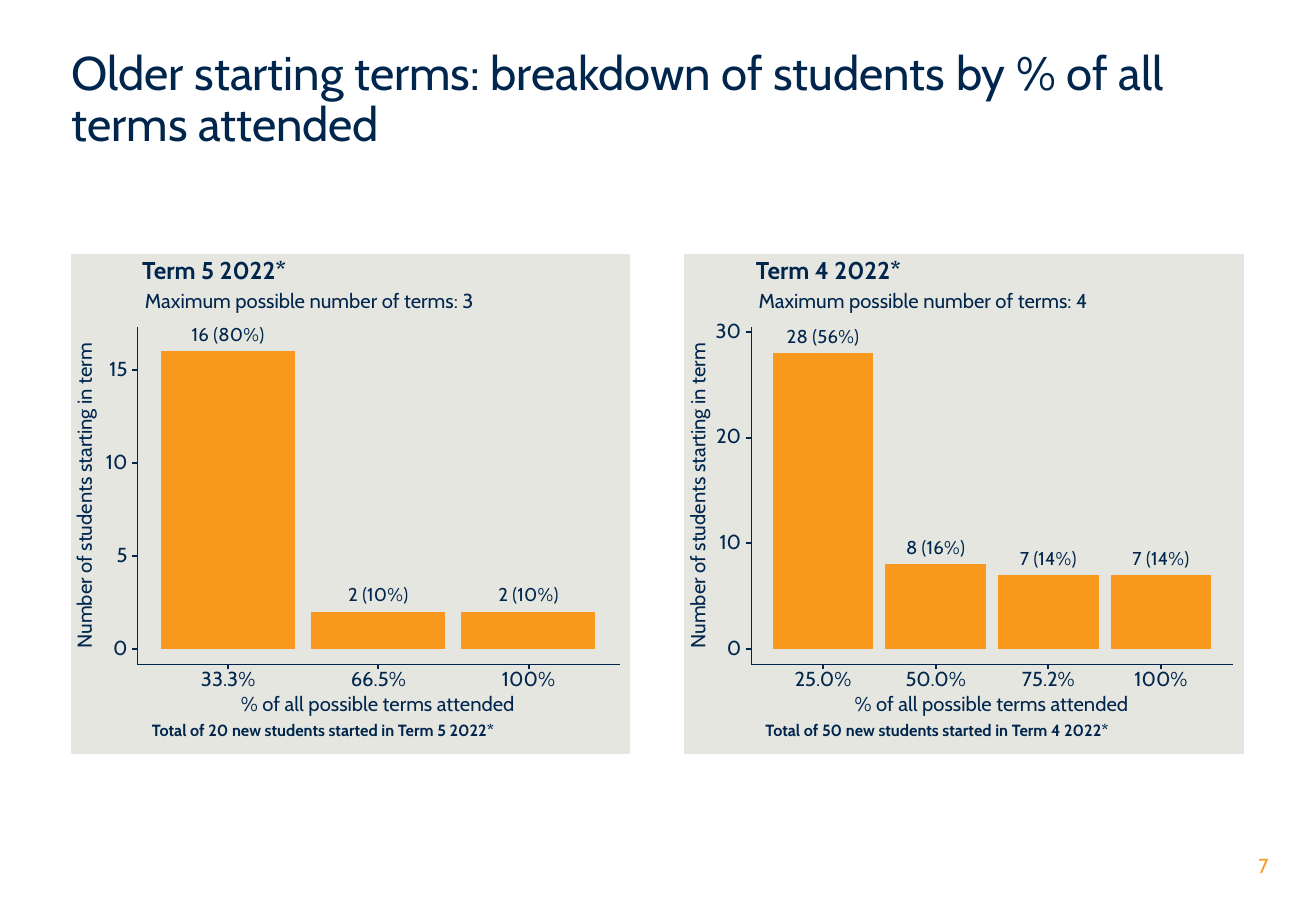
from dataclasses import dataclass

from lxml import etree
from pptx import Presentation
from pptx.chart.chart import Chart
from pptx.chart.data import CategoryChartData
from pptx.dml.color import RGBColor
from pptx.enum.chart import XL_CHART_TYPE, XL_LABEL_POSITION
from pptx.enum.shapes import MSO_CONNECTOR, MSO_SHAPE
from pptx.enum.text import MSO_ANCHOR, MSO_AUTO_SIZE, PP_ALIGN
from pptx.oxml import parse_xml
from pptx.oxml.ns import nsdecls, qn
from pptx.slide import Slide
from pptx.text.text import Font
from pptx.util import Pt

COLORS = {"navy": "00264D", "orange": "F8981D", "panel": "E6E6E1"}
FONT = "Cabin"

# Panel geometry in points, offsets measured from the panel's top left corner
PANEL_TOP, PANEL_W, PANEL_H = 151.2, 330.5, 295.2
AXIS_X, AXIS_TOP, AXIS_Y, AXIS_END = 38.9, 42.5, 242.6, 324.7
PLOT_X, PLOT_W, BASELINE = 48.2, 267, 233.6
PLOT_H = BASELINE - AXIS_TOP
TICK = 2.9


@dataclass
class Panel:
    left: float
    term: str
    max_terms: int
    total: int
    bars: list[tuple[str, int, str]]
    y_step: int
    y_max: float


PANELS = [
    Panel(42.5, "Term 5 2022*", 3, 20,
          [("33.3%", 16, "80%"), ("66.5%", 2, "10%"), ("100%", 2, "10%")], 5, 17.33),
    Panel(406.1, "Term 4 2022*", 4, 50,
          [("25.0%", 28, "56%"), ("50.0%", 8, "16%"), ("75.2%", 7, "14%"),
           ("100%", 7, "14%")], 10, 30.5),
]


def rgb(name: str) -> RGBColor:
    return RGBColor.from_string(COLORS[name])


def style_font(font: Font, size: float, color: str = "navy", bold: bool = False) -> None:
    font.name, font.size, font.bold = FONT, Pt(size), bold
    font.color.rgb = rgb(color)


def add_label(slide: Slide, x: float, y: float, text: str, size: float = 12,
              align: PP_ALIGN = PP_ALIGN.LEFT, width: float = 260, bold: bool = False,
              color: str = "navy", rotation: float = 0) -> None:
    """Put one line of text at x (left, centre or right, by align), centred on y."""
    shift = {PP_ALIGN.LEFT: 0, PP_ALIGN.CENTER: 0.5, PP_ALIGN.RIGHT: 1}[align]
    box = slide.shapes.add_textbox(Pt(x - shift * width), Pt(y - size / 2), Pt(width), Pt(size))
    box.rotation = rotation
    tf = box.text_frame
    tf.word_wrap = True
    tf.vertical_anchor = MSO_ANCHOR.MIDDLE
    tf.margin_left = tf.margin_right = tf.margin_top = tf.margin_bottom = 0
    p = tf.paragraphs[0]
    p.text = text
    p.alignment = align
    p.line_spacing = Pt(size)
    style_font(p.runs[0].font, size, color, bold)


def add_line(slide: Slide, x1: float, y1: float, x2: float, y2: float, weight: float) -> None:
    line = slide.shapes.add_connector(MSO_CONNECTOR.STRAIGHT, Pt(x1), Pt(y1), Pt(x2), Pt(y2))
    line.line.color.rgb = rgb("navy")
    line.line.width = Pt(weight)
    etree.SubElement(line._element.spPr, qn("a:effectLst"))


def place_plot(chart: Chart) -> None:
    """Fix the plot area inside the panel and make the chart see-through."""
    area = chart.element.find(".//" + qn("c:plotArea"))
    for old in area.findall(qn("c:layout")):
        area.remove(old)
    fractions = {"x": PLOT_X / PANEL_W, "y": AXIS_TOP / PANEL_H,
                 "w": PLOT_W / PANEL_W, "h": PLOT_H / PANEL_H}
    values = "".join(f'<c:{k} val="{v:.4f}"/>' for k, v in fractions.items())
    area.insert(0, parse_xml(
        f'<c:layout {nsdecls("c")}><c:manualLayout><c:layoutTarget val="inner"/>'
        f'<c:xMode val="edge"/><c:yMode val="edge"/>{values}</c:manualLayout></c:layout>'))
    clear = (f'<c:spPr {nsdecls("c", "a")}><a:noFill/>'
             '<a:ln><a:noFill/></a:ln></c:spPr>')
    area.append(parse_xml(clear))
    chart.element.find(qn("c:chart")).addnext(parse_xml(clear))


def add_bars(slide: Slide, panel: Panel) -> None:
    data = CategoryChartData()
    data.categories = [share for share, _, _ in panel.bars]
    data.add_series("Number of students starting in term", [n for _, n, _ in panel.bars])
    chart = slide.shapes.add_chart(XL_CHART_TYPE.COLUMN_CLUSTERED, Pt(panel.left),
                                   Pt(PANEL_TOP), Pt(PANEL_W), Pt(PANEL_H), data).chart
    style_font(chart.font, 11)
    chart.has_legend = chart.has_title = False
    axis = chart.value_axis
    axis.minimum_scale, axis.maximum_scale = 0, panel.y_max
    axis.major_unit = panel.y_step
    axis.has_major_gridlines = False
    axis.visible = chart.category_axis.visible = False

    plot = chart.plots[0]
    plot.gap_width = 12
    plot.vary_by_categories = False
    series = plot.series[0]
    series.format.fill.solid()
    series.format.fill.fore_color.rgb = rgb("orange")
    for i, (_, count, percent) in enumerate(panel.bars):
        label = series.points[i].data_label
        p = label.text_frame.paragraphs[0]
        p.text = f"{count} ({percent})"
        style_font(p.runs[0].font, 11)
        label.position = XL_LABEL_POSITION.OUTSIDE_END
    place_plot(chart)


def add_axes(slide: Slide, panel: Panel) -> None:
    """Draw the axes, which stand a little apart from the bars."""
    x, y = panel.left + AXIS_X, PANEL_TOP + AXIS_Y
    add_line(slide, x, y, x, PANEL_TOP + AXIS_TOP, 0.57)
    add_line(slide, x, y, panel.left + AXIS_END, y, 0.57)
    for value in range(0, int(panel.y_max) + 1, panel.y_step):
        tick_y = PANEL_TOP + BASELINE - value / panel.y_max * PLOT_H
        add_line(slide, x - TICK, tick_y, x, tick_y, 1.16)
        add_label(slide, x - 5.8, tick_y, str(value), align=PP_ALIGN.RIGHT, width=22)
    pitch = PLOT_W / len(panel.bars)
    for i, (share, _, _) in enumerate(panel.bars):
        tick_x = panel.left + PLOT_X + (i + 0.5) * pitch
        add_line(slide, tick_x, y + TICK, tick_x, y, 1.16)
        add_label(slide, tick_x, PANEL_TOP + 252, share, align=PP_ALIGN.CENTER, width=50)


def add_panel(slide: Slide, panel: Panel) -> None:
    x, y = panel.left, PANEL_TOP
    sp = slide.shapes.add_shape(MSO_SHAPE.RECTANGLE, Pt(x), Pt(y), Pt(PANEL_W), Pt(PANEL_H))
    sp.shadow.inherit = False
    sp.fill.solid()
    sp.fill.fore_color.rgb = sp.line.color.rgb = rgb("panel")
    sp.line.width = Pt(1.16)
    add_bars(slide, panel)
    add_axes(slide, panel)
    add_label(slide, x + 41.8, y + 10.1, panel.term, 14.4, bold=True)
    add_label(slide, x + 43.4, y + 28.1, f"Maximum possible number of terms: {panel.max_terms}")
    add_label(slide, x + 181.4, y + 267.1, "% of all possible terms attended",
              align=PP_ALIGN.CENTER)
    add_label(slide, x + 8.3, y + 142.6, "Number of students starting in term",
              align=PP_ALIGN.CENTER, rotation=270)
    add_label(slide, x + 47.5, y + 282.2,
              f"Total of {panel.total} new students started in {panel.term}", 9.6, bold=True)


def add_title(slide: Slide, text: str) -> None:
    title = slide.shapes.title
    title.left, title.top, title.width, title.height = Pt(42.5), Pt(39.6), Pt(694.8), Pt(39.6)
    tf = title.text_frame
    tf.text = text
    tf.word_wrap = True
    tf.auto_size = MSO_AUTO_SIZE.NONE
    tf.vertical_anchor = MSO_ANCHOR.MIDDLE
    tf.margin_left = tf.margin_right = 0
    p = tf.paragraphs[0]
    p.alignment = PP_ALIGN.LEFT
    p.line_spacing = 0.9
    style_font(p.runs[0].font, 28)


def main() -> None:
    prs = Presentation()
    prs.slide_width, prs.slide_height = Pt(779.76), Pt(540)
    slide = prs.slides.add_slide(prs.slide_layouts[5])
    add_title(slide, "Older starting terms: breakdown of students by % of all terms attended")
    for panel in PANELS:
        add_panel(slide, panel)
    add_label(slide, 751.6, 514.4, "7", align=PP_ALIGN.RIGHT, width=48, color="orange")
    prs.save("out.pptx")


if __name__ == "__main__":
    main()
